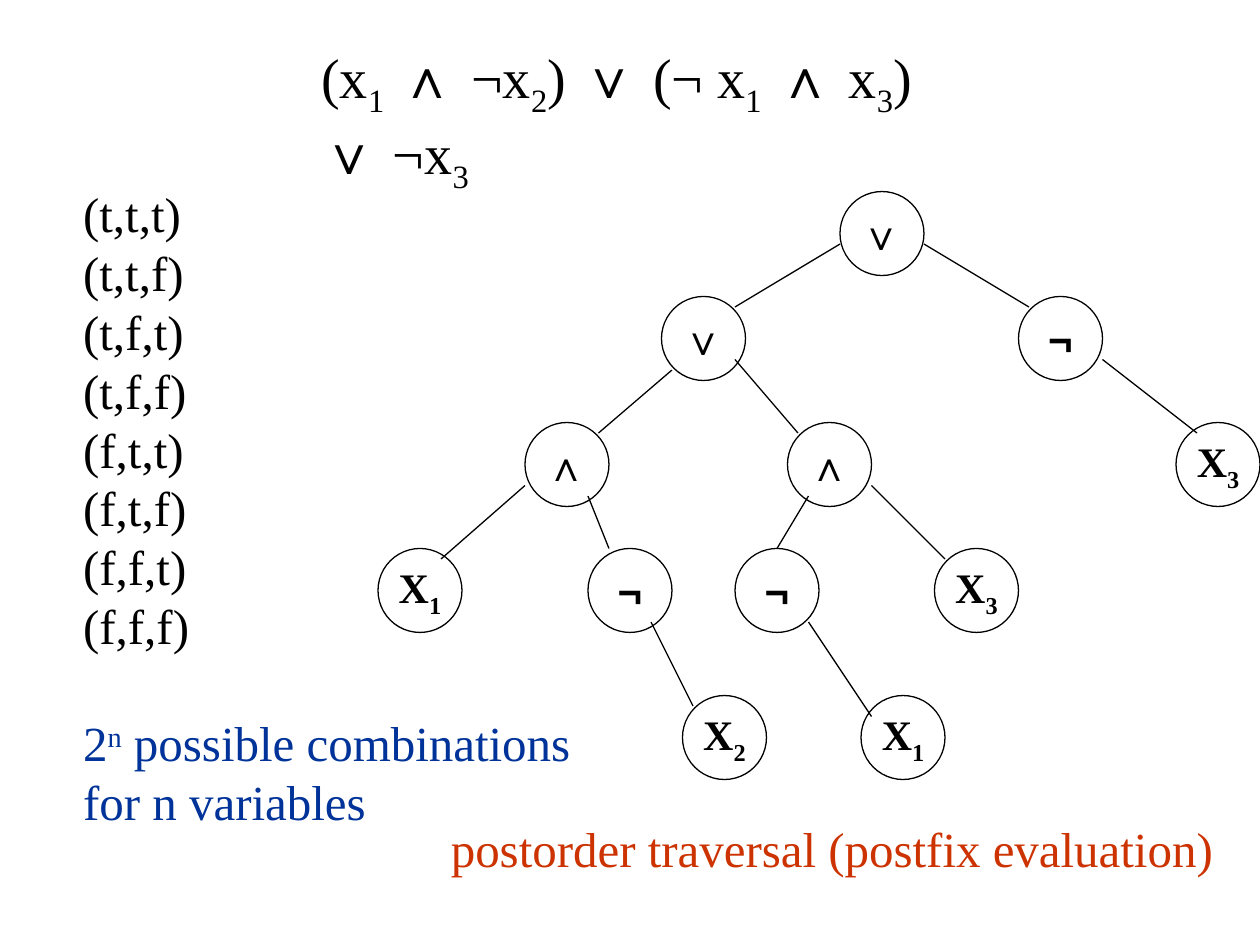
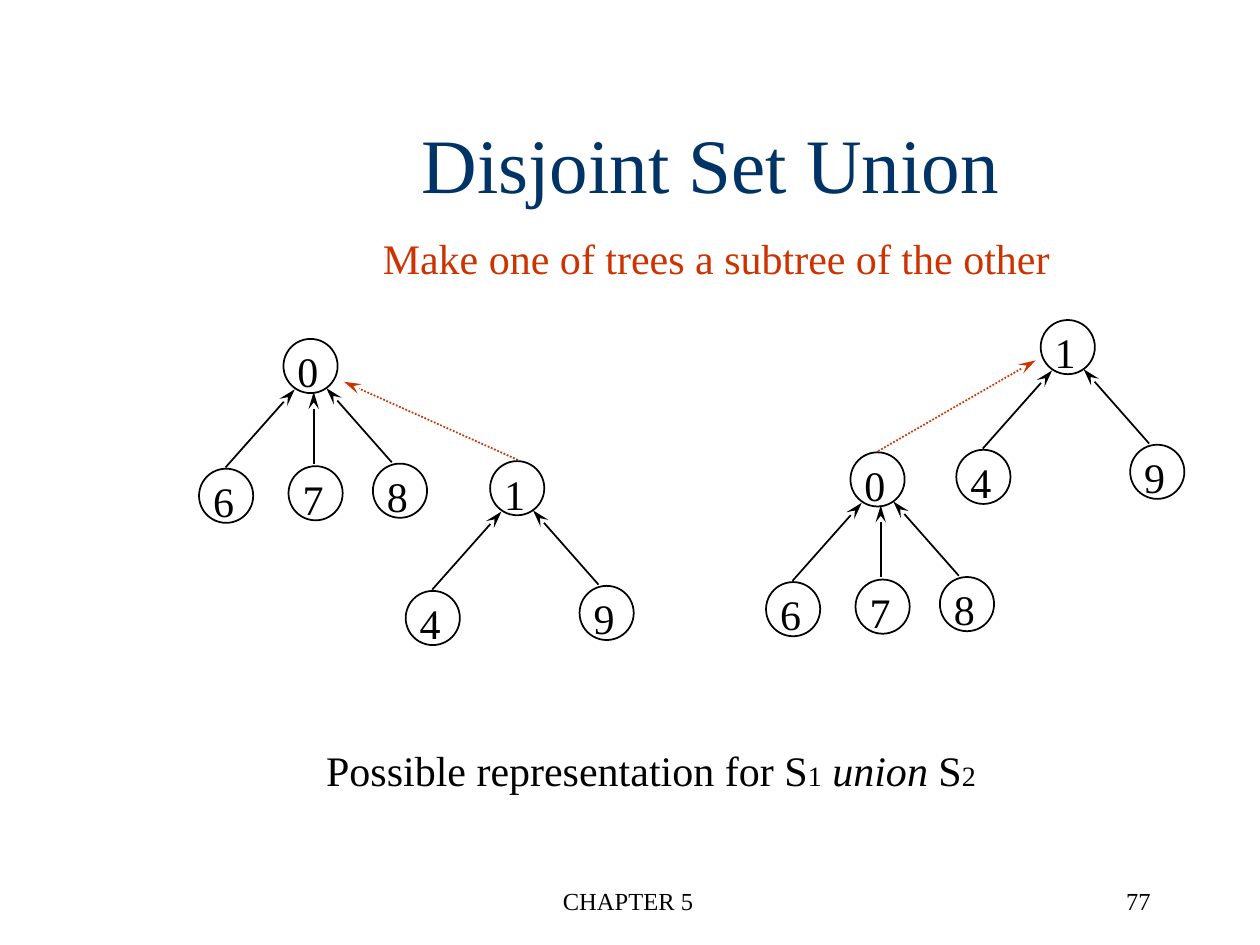
from pptx import Presentation
from pptx.dml.color import RGBColor
from pptx.enum.dml import MSO_LINE
from pptx.enum.shapes import MSO_CONNECTOR, MSO_SHAPE
from pptx.enum.text import MSO_ANCHOR, MSO_AUTO_SIZE, PP_ALIGN
from pptx.oxml.ns import qn
from pptx.util import Inches, Pt
from lxml import etree

LEFT, CENTER, RIGHT = PP_ALIGN.LEFT, PP_ALIGN.CENTER, PP_ALIGN.RIGHT
TOP, MIDDLE = MSO_ANCHOR.TOP, MSO_ANCHOR.MIDDLE
OVAL, STRAIGHT = MSO_SHAPE.OVAL, MSO_CONNECTOR.STRAIGHT
DOTTED = MSO_LINE.ROUND_DOT

COLORS = {"ink": "000000", "title": "003366", "note": "003399", "accent": "CC3300"}
SERIF, SANS = "Times New Roman", "Arial"
SUBSCRIPT, SUPERSCRIPT = -25000, 30000
LIST_PITCH = Pt(33.6)


def write(paragraph, segments, color="ink", align=LEFT, **base):
    """Fill a paragraph with (text, overrides) segments; "baseline" is a raw run attribute."""
    paragraph.alignment = align
    paragraph.space_before = Pt(0)
    for text, overrides in segments:
        if text == "\n":
            paragraph.add_line_break()
            continue
        run = paragraph.add_run()
        run.text = text
        run.font.color.rgb = RGBColor.from_string(COLORS[color])
        for key, value in {"name": SERIF, "size": 24, **base, **overrides}.items():
            if key == "baseline":
                run.font._element.set(key, str(value))
            else:
                setattr(run.font, key, Pt(value) if key == "size" else value)


def place(shape, left, top, width, height, anchor=TOP):
    """Move a text shape and return its prepared text frame."""
    box = {"left": left, "top": top, "width": width, "height": height}
    for key, value in box.items():
        setattr(shape, key, Inches(value))
    frame = shape.text_frame
    frame.word_wrap = True
    frame.auto_size = MSO_AUTO_SIZE.NONE
    frame.vertical_anchor = anchor
    return frame


presentation = Presentation()
presentation.slide_width, presentation.slide_height = Inches(10), Inches(7.5)
formula_slide = presentation.slides.add_slide(presentation.slide_layouts[1])
union_slide = presentation.slides.add_slide(presentation.slide_layouts[5])

# Titles
AND, OR = [(sign, {"name": SANS}) for sign in (" ∧ ", " ∨ ")]
SUB = {"baseline": SUBSCRIPT}
formula = [
    ("(x", {}), ("1", SUB), AND, ("¬x", {}), ("2", SUB), (")", {}), OR,
    ("(¬ x", {}), ("1", SUB), AND, ("x", {}), ("3", SUB), (")", {}), ("\n", {}),
    ("∨ ", OR[1]), ("¬x", {}), ("3", SUB),
]
frame = place(formula_slide.shapes.title, 2.45, 0.29, 6, 1.32)
write(frame.paragraphs[0], formula, size=32)
frame.paragraphs[0].line_spacing = Pt(43.5)

frame = place(union_slide.shapes.title, 0.63, 0.67, 10.02, 1.25, MIDDLE)
write(frame.paragraphs[0], [("Disjoint Set Union", {})], "title", CENTER, size=44)

# Truth assignments and their count
assignments = [f"({a},{b},{c})" for a in "tf" for b in "tf" for c in "tf"]
lines = [([(text, {})], "ink") for text in assignments]
lines += [
    ([("2", {}), ("n", {"baseline": SUPERSCRIPT}), (" possible combinations", {})], "note"),
    ([("for n variables", {})], "note"),
]
frame = place(formula_slide.placeholders[1], 0.56, 1.41, 4.4, 5.24)
for index, (segments, color) in enumerate(lines):
    paragraph = frame.add_paragraph() if index else frame.paragraphs[0]
    write(paragraph, segments, color, size=28)
    paragraph.line_spacing = LIST_PITCH
    if index == len(assignments):
        paragraph.space_before = LIST_PITCH
    properties = paragraph._p.get_or_add_pPr()
    properties.set("marL", "0")
    properties.set("indent", "0")
    etree.SubElement(properties, qn("a:buNone"))

# Captions and footers
representation = [
    ("Possible representation for S", {}), ("1", {"size": 16}), (" ", {}),
    ("union", {"italic": True}), (" S", {}), ("2", {"size": 16}),
]
captions = [
    (formula_slide, (3.48, 6.45, 6.5, 0.57),
     [("postorder traversal (postfix evaluation)", {})], "accent", LEFT, 28),
    (union_slide, (2.84, 1.8, 5.69, 0.5),
     [("Make one of trees a subtree of the other", {})], "accent", CENTER, 24),
    (union_slide, (2.49, 5.86, 5.6, 0.5), representation, "ink", LEFT, 24),
    (union_slide, (3.4, 6.98, 3.17, 0.5), [("CHAPTER 5", {})], "ink", CENTER, 14),
    (union_slide, (7.15, 6.98, 2.08, 0.5), [("77", {})], "ink", RIGHT, 14),
]
for slide, box, segments, color, align, size in captions:
    frame = place(slide.shapes.add_textbox(0, 0, 0, 0), *box)
    write(frame.paragraphs[0], segments, color, align, size=size)

# Expression tree, on a grid of 120 columns
CELL = 10 / 120
TREE_TOP = 1.52
expression_nodes = [
    ("∨", 80, 0), ("∨", 63, 10), ("¬", 97, 10), ("∧", 50, 22), ("∧", 75, 22),
    ("X3", 112, 22), ("X1", 36, 34), ("¬", 56, 34), ("¬", 70, 34), ("X3", 89, 34),
    ("X2", 65, 48), ("X1", 82, 48),
]
expression_edges = [
    (80, 5, 70, 11), (88, 5, 98, 11), (64, 17, 57, 23), (70, 16, 76, 23),
    (105, 16, 114, 23), (50, 28, 42, 35), (56, 29, 58, 34), (77, 29, 74, 34),
    (83, 28, 90, 35), (62, 41, 66, 49), (77, 41, 83, 50),
]
nodes, edges = [], []
for label, column, row in expression_nodes:
    name = SERIF if label[0] == "X" else SANS
    segments = [(label[0], {"name": name, "bold": True})]
    if label[1:]:
        segments.append((label[1:], {"bold": True, **SUB}))
    nodes.append((formula_slide, column * CELL, TREE_TOP + row * CELL,
                  8 * CELL, 0.75, segments, (0, 0)))
for x1, y1, x2, y2 in expression_edges:
    edges.append((formula_slide, x1 * CELL, TREE_TOP + y1 * CELL,
                  x2 * CELL, TREE_TOP + y2 * CELL, 0.75, "ink", False))

# Set trees: child position, arrow start and arrow end, measured from the root
BRANCHES = {
    "left": ((-0.67, 1.03), (-0.46, 1.02), (0.09, 0.4)),
    "middle": ((0.04, 1.01), (0.24, 0.99), (0.24, 0.42)),
    "right": ((0.71, 0.99), (0.86, 0.98), (0.34, 0.39)),
}
ZERO_SET = ("0", {"left": "6", "middle": "7", "right": "8"})
ONE_SET = ("1", {"left": "4", "right": "9"})
set_trees = [(ZERO_SET, 2.25, 2.69), (ONE_SET, 3.89, 3.66),
             (ONE_SET, 8.26, 2.54), (ZERO_SET, 6.75, 3.59)]
for (root, children), left, top in set_trees:
    members = [(root, 0, 0)]
    for side, child in children.items():
        offset, start, end = BRANCHES[side]
        members.append((child, *offset))
        edges.append((union_slide, left + start[0], top + start[1],
                      left + end[0], top + end[1], 1, "ink", True))
    for label, dx, dy in members:
        nodes.append((union_slide, left + dx, top + dy, 0.43, 1,
                      [(label, {})], (0.04, 0.08)))
for link in [(4.11, 3.65, 2.73, 3.03), (6.97, 3.58, 8.22, 2.86)]:
    edges.append((union_slide, *link, 1, "accent", True))

for slide, left, top, diameter, weight, segments, (right_inset, top_inset) in nodes:
    node = slide.shapes.add_shape(OVAL, 0, 0, 0, 0)
    frame = place(node, left, top, diameter, diameter, MIDDLE)
    frame.word_wrap = False
    frame.margin_left = frame.margin_bottom = 0
    frame.margin_right, frame.margin_top = Inches(right_inset), Inches(top_inset)
    node.shadow.inherit = False
    node.fill.background()
    node.line.color.rgb = RGBColor.from_string(COLORS["ink"])
    node.line.width = Pt(weight)
    write(frame.paragraphs[0], segments, align=CENTER)

for slide, x1, y1, x2, y2, weight, color, arrow in edges:
    edge = slide.shapes.add_connector(STRAIGHT, *map(Inches, (x1, y1, x2, y2)))
    edge.line.color.rgb = RGBColor.from_string(COLORS[color])
    edge.line.width = Pt(weight)
    if color == "accent":
        edge.line.dash_style = DOTTED
    if arrow:
        etree.SubElement(edge.line._get_or_add_ln(), qn("a:tailEnd"),
                         type="stealth", w="med", len="lg")
    etree.SubElement(edge._element.spPr, qn("a:effectLst"))

presentation.save("out.pptx")
